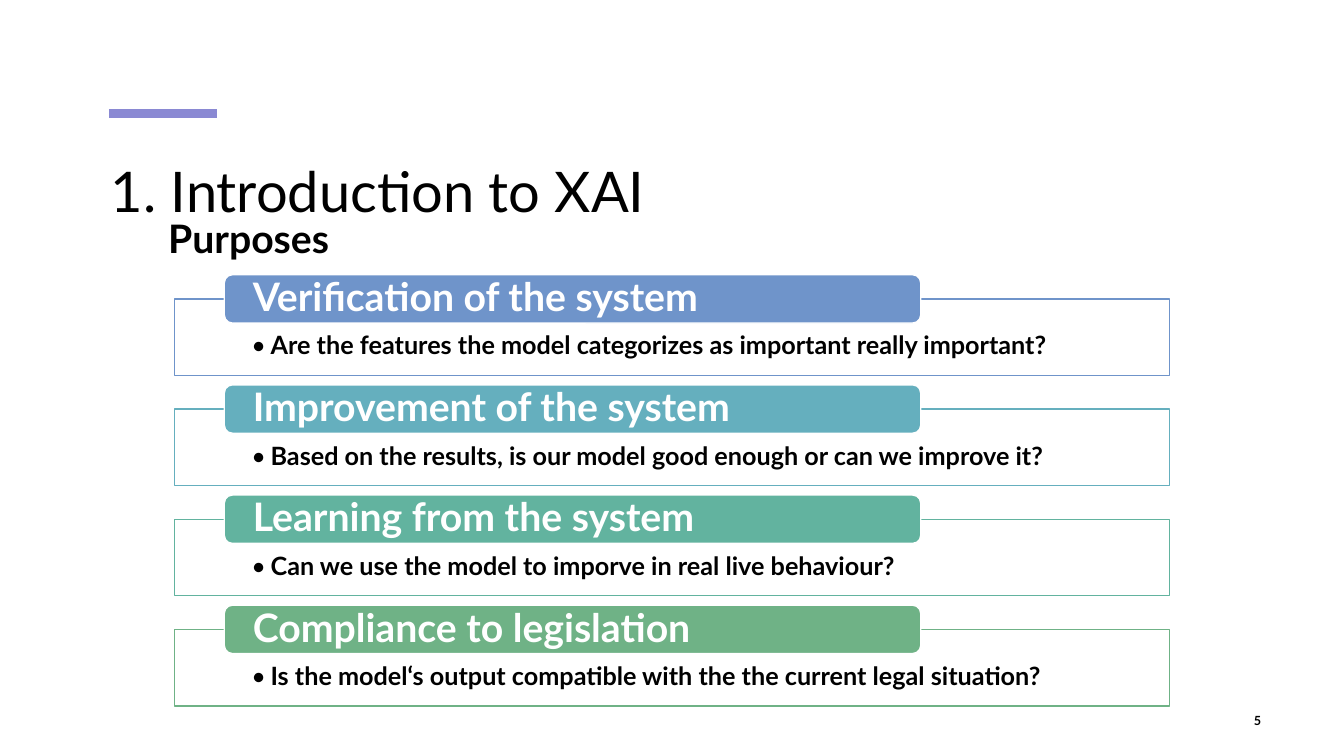
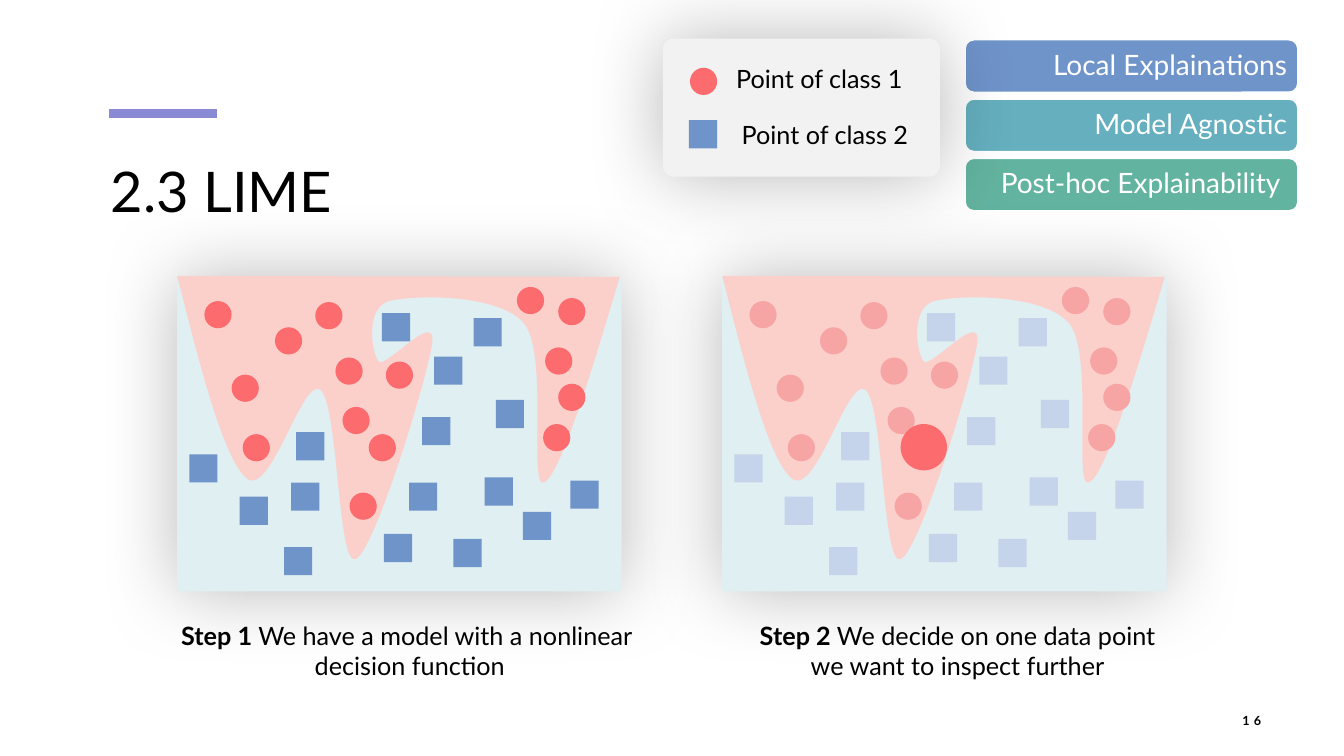
from lxml import etree
from pptx import Presentation
from pptx.dml.color import RGBColor
from pptx.enum.shapes import MSO_CONNECTOR, MSO_SHAPE
from pptx.enum.text import MSO_ANCHOR, MSO_AUTO_SIZE, PP_ALIGN
from pptx.oxml.ns import qn
from pptx.util import Inches, Pt

RECT, ROUND, OVAL = MSO_SHAPE.RECTANGLE, MSO_SHAPE.ROUNDED_RECTANGLE, MSO_SHAPE.OVAL
LINE = MSO_CONNECTOR.STRAIGHT
LEFT, MID, RIGHT = PP_ALIGN.LEFT, PP_ALIGN.CENTER, PP_ALIGN.RIGHT
TOP, CENTER = MSO_ANCHOR.TOP, MSO_ANCHOR.MIDDLE
FIXED = MSO_AUTO_SIZE.NONE

FONT = "Lato"
BLACK = RGBColor(0x00, 0x00, 0x00)
WHITE = RGBColor(0xFF, 0xFF, 0xFF)
VIOLET = RGBColor(0x8A, 0x89, 0xD3)
BLUE = RGBColor(0x6F, 0x94, 0xCA)
CYAN = RGBColor(0x65, 0xAF, 0xBE)
TEAL = RGBColor(0x62, 0xB3, 0x9F)
GREEN = RGBColor(0x6F, 0xB2, 0x86)
RED = RGBColor(0xFC, 0x6B, 0x6E)
ROSE = RGBColor(0xF7, 0xA4, 0xA4)
PALE = RGBColor(0xC5, 0xD4, 0xEA)
ICE = RGBColor(0xE0, 0xEF, 0xF2)
PINK = RGBColor(0xFB, 0xD0, 0xCB)
GREY = RGBColor(0xF2, 0xF2, 0xF2)

COLS, ROWS = 133.33, 75
DOT, SQUARE = 2.7, 2.8

GOALS = [
    ("Verification of the system", BLUE,
     "Are the features the model categorizes as important really important?"),
    ("Improvement of the system", CYAN,
     "Based on the results, is our model good enough or can we improve it?"),
    ("Learning from the system", TEAL,
     "Can we use the model to imporve in real live behaviour?"),
    ("Compliance to legislation", GREEN,
     "Is the model‘s output compatible with the the current legal situation?"),
]
TAGS = [("Local Explainations", BLUE), ("Model Agnostic", CYAN),
        ("Post-hoc Explainability ", TEAL)]

DOTS = [(2.7, 2.4), (5.4, 9.7), (9.7, 5), (15.7, 8), (13.7, 2.5), (16.4, 12.9),
        (6.5, 15.6), (17.1, 21.4), (20.7, 8.4), (36.3, 14.6), (37.8, 10.6),
        (36.5, 7), (37.8, 2.1), (33.7, 1)]
SQUARES = [(20.3, 3.6), (29.4, 4.1), (11.8, 15.4), (25.5, 7.9), (24.3, 13.9),
           (31.6, 12.2), (23, 20.4), (11.3, 20.4), (20.5, 25.5), (1.2, 17.6),
           (6.2, 21.8), (30.5, 19.9), (39, 20.2), (34.3, 23.3), (10.6, 26.8),
           (27.4, 26)]
RISE = 0.1
CURVES = [
    ((2.3, 9), (4.6, 18.1), (6.9, 20)),
    ((9.3, 21.9), (12.4, 9.9), (14.2, 11.2)),
    ((16, 12.6), (15.9, 28.8), (17.7, 28)),
    ((19.6, 27.2), (24.9, 9.8), (25.3, 6.5)),
    ((25.7, 3.2), (20.7, 9.1), (20, 8.4)),
    ((19.3, 7.7), (18.6, 3.1), (21, 2.4)),
    ((23.4, 1.8), (31.8, 1.6), (34.4, 4.6)),
    ((36.9, 7.6), (34.8, 21.2), (36.4, 20.4)),
    ((38, 19.6), (41, 9.8), (43.9, 0)),
]


def cell(num):
    """Turn grid cells, ten to the inch, into a length."""
    return Inches(num / 10)


def cells(*nums):
    """Turn several cell counts into lengths."""
    return [cell(num) for num in nums]


def write(frame, text, size=18, color=BLACK, bold=False, align=LEFT, anchor=TOP,
          inset=(1, 0.5, 1, 0.5), space=None, wrap=True, lead="", bullet=False,
          track=0):
    """Fill a text frame, one paragraph per line, after an optional bold lead."""
    frame.word_wrap = wrap
    frame.auto_size = FIXED
    frame.vertical_anchor = anchor
    (frame.margin_left, frame.margin_top,
     frame.margin_right, frame.margin_bottom) = cells(*inset)
    for pos, part in enumerate(text.split("\n")):
        para = frame.add_paragraph() if pos else frame.paragraphs[0]
        para.alignment = align
        if space:
            para.line_spacing = space
        if bullet:
            para.level = 1
            props = para._p.get_or_add_pPr()
            props.set("marL", str(cell(1.9)))
            props.set("indent", str(-cell(1.9)))
            etree.SubElement(props, qn("a:buFont")).set("typeface", FONT)
            etree.SubElement(props, qn("a:buChar")).set("char", "•")
        runs = [(part, bold)]
        if lead and not pos:
            runs.insert(0, (lead, True))
        for words, heavy in runs:
            run = para.add_run()
            run.text = words
            font = run.font
            font.name, font.size, font.bold = FONT, Pt(size), heavy
            font.color.rgb = color
            if track:
                run._r.get_or_add_rPr().set("spc", str(track * 100))


def label(shapes, box, text, **form):
    """Add a text box."""
    write(shapes.add_textbox(*cells(*box)).text_frame, text, **form)


def paint(shape, fill, line=None):
    """Give a shape a flat fill and an optional outline."""
    shape.shadow.inherit = False
    shape.fill.solid()
    shape.fill.fore_color.rgb = fill
    if line is None:
        shape.line.fill.background()
    else:
        shape.line.color.rgb = line
        shape.line.width = Pt(1)
    return shape


def draw(shapes, kind, box, fill, line=None):
    """Add a preset shape."""
    return paint(shapes.add_shape(kind, *cells(*box)), fill, line)


def glow(shape):
    """Put a soft shadow all round a shape."""
    holder = shape.element.spPr.find(qn("a:effectLst"))
    shade = etree.SubElement(holder, qn("a:outerShdw"), blurRad=str(Pt(55.6)),
                             dist="0", dir="0", algn="ctr", rotWithShape="0")
    tint = etree.SubElement(shade, qn("a:srgbClr"), val=str(BLACK))
    etree.SubElement(tint, qn("a:alpha"), val="28000")


def base(deck, title, page):
    """Start a slide with its accent bar, title and page number."""
    slide = deck.slides.add_slide(deck.slide_layouts[5])
    shapes = slide.shapes
    bar = shapes.add_connector(LINE, *cells(10.8, 11.25, 21.5, 11.25))
    bar.line.color.rgb = VIOLET
    bar.line.width = Pt(6)
    etree.SubElement(bar.element.spPr, qn("a:effectLst"))
    head = shapes.title
    head.left, head.top, head.width, head.height = cells(10, 15, 113.3, 14.4)
    write(head.text_frame, title, size=40)
    label(shapes, (118.2, 69.5, 7.9, 4), page, size=9, bold=True, align=RIGHT,
          anchor=CENTER, track=3)
    return shapes


def goals(shapes, left, top, wide, step):
    """Stack the purposes as framed answers under coloured headers."""
    for pos, (name, color, ask) in enumerate(GOALS):
        y = top + pos * step
        body = draw(shapes, RECT, (left, y, wide, 7.6), WHITE, color)
        write(body.text_frame, ask, bold=True, inset=(7.65, 3.4, 7.65, 1.4),
              space=0.9, bullet=True)
        head = draw(shapes, ROUND, (left + 4.95, y - 2.4, 0.7 * wide, 4.8),
                    color, WHITE)
        write(head.text_frame, name, size=28, color=WHITE, bold=True,
              anchor=CENTER, inset=(2.6, 0, 2.6, 0), space=0.9)


def tags(shapes, left, top, wide, step):
    """Stack the method's traits as coloured tags."""
    for pos, (name, color) in enumerate(TAGS):
        tag = draw(shapes, ROUND, (left, top + pos * step, wide, 5.2), color, WHITE)
        write(tag.text_frame, name, size=20, color=WHITE, align=RIGHT,
              anchor=CENTER, inset=(0.8,) * 4, space=0.9)


def legend(shapes, left, top):
    """Explain the two point classes on a raised card."""
    group = shapes.add_group_shape().shapes
    card = draw(group, ROUND, (left, top, 27.5, 13.7), GREY)
    card.adjustments[0] = 0.08
    glow(card)
    draw(group, OVAL, (left + 2.7, top + 2.9, DOT, DOT), RED)
    draw(group, RECT, (left + 2.6, top + 8.1, SQUARE, SQUARE), BLUE)
    label(group, (left + 6.3, top + 2, 19, 4), "Point of class 1", wrap=False)
    label(group, (left + 6.85, top + 7.5, 19, 4), "Point of class 2", wrap=False)


def area(shapes, left, top):
    """Draw the first class's area with a curved border."""
    pen = shapes.build_freeform(*cells(left, top - RISE))
    pen.add_line_segments([cells(left + x, top + y) for *_, (x, y) in CURVES])
    shape = paint(pen.convert_to_shape(), PINK)
    sides = list(shape.element.spPr.iter(qn("a:lnTo")))
    for side, curve in zip(sides, CURVES):
        bend = etree.Element(qn("a:cubicBezTo"))
        for x, y in curve:
            etree.SubElement(bend, qn("a:pt"), x=str(cell(x)), y=str(cell(y + RISE)))
        side.getparent().replace(side, bend)


def plot(shapes, left, top, red, blue, spot):
    """Draw the decision areas with both classes and one chosen point."""
    group = shapes.add_group_shape().shapes
    glow(draw(group, RECT, (left, top, 44.1, 31.2), ICE))
    area(group, left, top)
    dots = [(x, y, DOT, red) for x, y in DOTS]
    dots.insert(9, (*spot, RED))
    for x, y, size, color in dots:
        draw(group, OVAL, (left + x, top + y, size, size), color)
    for x, y in SQUARES:
        draw(group, RECT, (left + x, top + y, SQUARE, SQUARE), blue)


def intro(deck):
    """Build the slide on the purposes."""
    shapes = base(deck, "1. Introduction to XAI", "5")
    label(shapes, (15.7, 20.8, 18.3, 5.7), "Purposes", size=28, bold=True,
          wrap=False)
    goals(shapes, 17.3, 29.65, 98.7, 10.93)


def lime(deck):
    """Build the slide on the first two steps."""
    shapes = base(deck, "2.3 LIME", "16")
    tags(shapes, 95.75, 3.95, 33, 5.88)
    label(shapes, (16.9, 61.05, 47.5, 7.1),
          "We have a model with a nonlinear \ndecision function",
          lead="Step 1 ", align=MID, wrap=False)
    plot(shapes, 17.58, 27.47, RED, BLUE, (19, 15.6, DOT))
    plot(shapes, 71.65, 27.47, ROSE, PALE, (17.7, 14.6, 4.6))
    legend(shapes, 65.75, 3.83)
    label(shapes, (72.95, 61.05, 44.1, 7.1),
          "We decide on one data point we want to inspect further",
          lead="Step 2 ", align=MID)


def main():
    """Build and save the deck."""
    deck = Presentation()
    deck.slide_width, deck.slide_height = cells(COLS, ROWS)
    intro(deck)
    lime(deck)
    deck.save("out.pptx")


if __name__ == "__main__":
    main()
